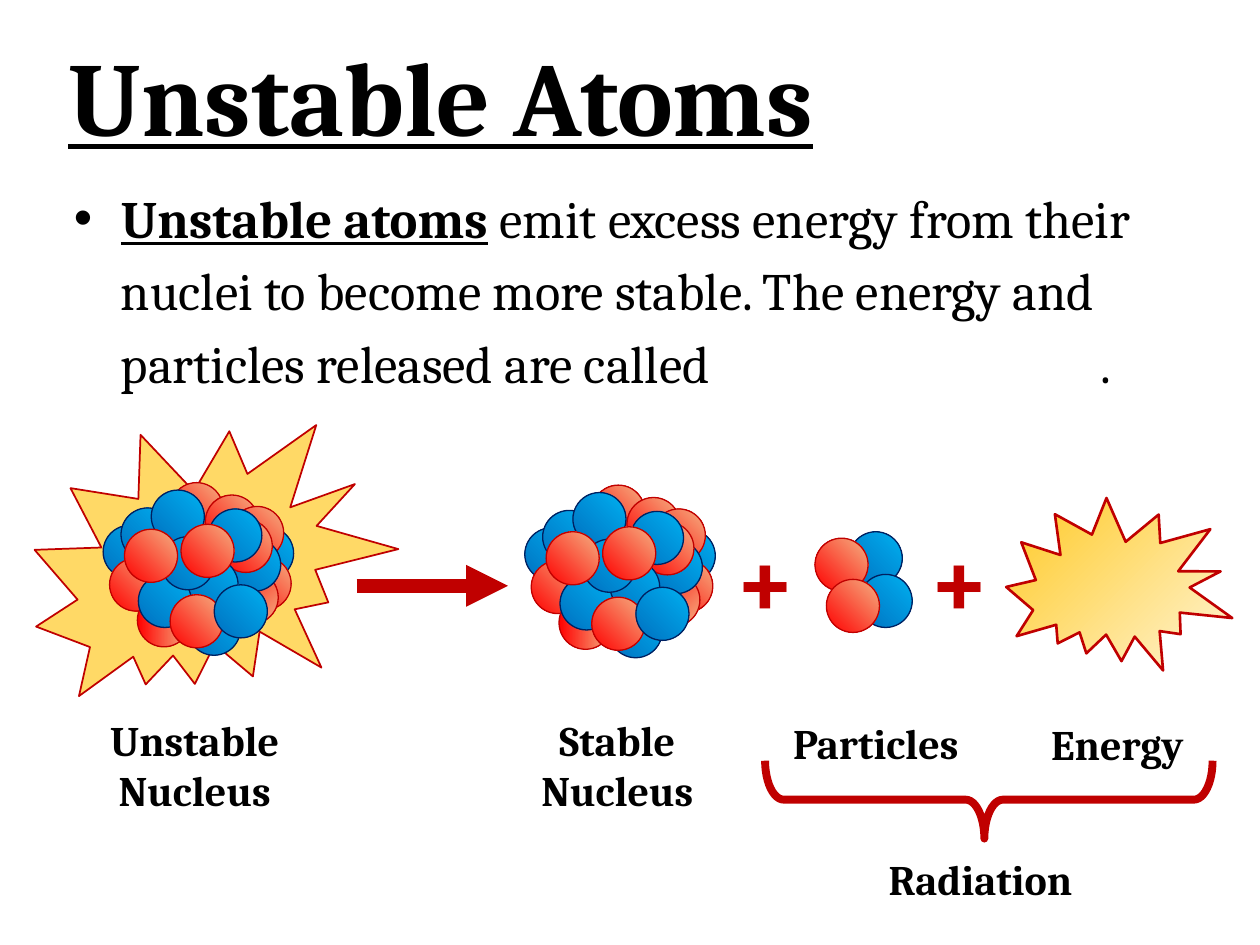
"""Build the slide on unstable atoms and the radiation they emit."""
from dataclasses import dataclass
from typing import Any

from lxml.etree import SubElement
from pptx import Presentation
from pptx.dml.color import RGBColor
from pptx.enum.shapes import MSO_CONNECTOR, MSO_SHAPE
from pptx.enum.text import MSO_ANCHOR, MSO_AUTO_SIZE, PP_ALIGN
from pptx.oxml.ns import qn
from pptx.util import Cm, Pt

FONT = "Cambria"
BLACK = RGBColor(0x00, 0x00, 0x00)
WHITE = RGBColor(0xFF, 0xFF, 0xFF)
DARK_RED = RGBColor(0xC0, 0x00, 0x00)
RED = RGBColor(0xFF, 0x00, 0x00)
SALMON = RGBColor(0xF4, 0xB1, 0x83)
NAVY = RGBColor(0x00, 0x20, 0x60)
BLUE = RGBColor(0x00, 0x70, 0xC0)
SKY = RGBColor(0x00, 0xB0, 0xF0)
YELLOW = RGBColor(0xFF, 0xFF, 0x00)
GRAY = RGBColor(0xB2, 0xB2, 0xB2)
ORANGE = RGBColor(0xFF, 0x66, 0x00)
AMBER = RGBColor(0xFF, 0xCC, 0x00)
GOLD = RGBColor(0xFF, 0xC0, 0x00)
PALE_GOLD = RGBColor(0xFF, 0xD9, 0x66)
DIAMETER = 1.07


@dataclass(frozen=True)
class Paint:
    start: RGBColor
    end: RGBColor
    outline: RGBColor
    angle: float = 45


@dataclass(frozen=True)
class Sphere:
    left: float
    top: float
    paint: Paint


@dataclass(frozen=True)
class Label:
    text: str
    left: float
    top: float
    width: float
    height: float
    size: float = 24
    color: RGBColor = BLACK


PROTON = Paint(RED, SALMON, DARK_RED)
LEVEL_PROTON = Paint(RED, SALMON, DARK_RED, 0)
LOWERED_PROTON = Paint(RED, SALMON, DARK_RED, 315)
NEUTRON = Paint(BLUE, SKY, NAVY)
CORE_YELLOW = Paint(YELLOW, GRAY, YELLOW)
CORE_ORANGE = Paint(ORANGE, AMBER, ORANGE)
CORE_AMBER = Paint(AMBER, ORANGE, ORANGE)

NUCLEUS = [
    Sphere(1.83, 1.09, CORE_YELLOW), Sphere(2.77, 0.89, NEUTRON),
    Sphere(2.72, 1.5, PROTON), Sphere(1.4, 0.46, CORE_ORANGE),
    Sphere(0.76, 1.09, CORE_AMBER), Sphere(0.99, 1.88, CORE_YELLOW),
    Sphere(0.76, 1.52, CORE_YELLOW), Sphere(1.83, 1.47, CORE_ORANGE),
    Sphere(1.09, 1.4, CORE_ORANGE), Sphere(1.35, 0, PROTON),
    Sphere(1.7, 2.41, NEUTRON), Sphere(2.06, 0.25, PROTON),
    Sphere(2.57, 0.48, PROTON), Sphere(0, 0.86, NEUTRON),
    Sphere(0.36, 0.51, NEUTRON), Sphere(0.97, 0.15, NEUTRON),
    Sphere(0.13, 1.52, PROTON), Sphere(0.69, 2.24, LEVEL_PROTON),
    Sphere(2.46, 1.78, LOWERED_PROTON), Sphere(2.51, 1.12, NEUTRON),
    Sphere(2.34, 0.74, PROTON), Sphere(2.13, 0.53, NEUTRON),
    Sphere(1.65, 1.52, NEUTRON), Sphere(0.71, 1.85, NEUTRON),
    Sphere(1.35, 2.26, PROTON), Sphere(2.24, 2.06, NEUTRON),
    Sphere(1.17, 1.09, NEUTRON), Sphere(0.43, 0.94, PROTON),
    Sphere(1.57, 0.84, PROTON),
]
PARTICLES = [
    Sphere(17.12, 10.72, NEUTRON), Sphere(17.32, 11.58, NEUTRON),
    Sphere(16.43, 10.85, PROTON), Sphere(16.66, 11.68, PROTON),
]
LABELS = [
    Label("Unstable Nucleus", 1.88, 14.27, 4.09, 2.31),
    Label("Stable Nucleus", 9.88, 14.27, 5.13, 2.31),
    Label("Particles", 15.09, 14.33, 5.13, 1.27),
    Label("Energy", 19.96, 14.35, 5.13, 1.27),
    Label("Radiation", 17.2, 17.09, 5.13, 1.27),
    Label("+", 14.66, 10.21, 1.55, 2.39, 60, DARK_RED),
    Label("+", 18.57, 10.21, 1.55, 2.39, 60, DARK_RED),
]


def format_run(run: Any, size: float, color: RGBColor = BLACK,
               bold: bool = True, underline: bool = False) -> None:
    run.font.name = FONT
    run.font.size = Pt(size)
    run.font.bold = bold
    run.font.underline = underline
    run.font.color.rgb = color


def add_outlined(shapes: Any, kind: MSO_SHAPE, left: float, top: float, width: float,
                 height: float, outline: RGBColor, weight: float, rotation: float = 0) -> Any:
    shape = shapes.add_shape(kind, Cm(left), Cm(top), Cm(width), Cm(height))
    shape.shadow.inherit = False
    shape.line.color.rgb = outline
    shape.line.width = Pt(weight)
    shape.rotation = rotation
    return shape


def fill_gradient(shape: Any, start: RGBColor, end: RGBColor, angle: float) -> None:
    shape.fill.gradient()
    shape.fill.gradient_angle = angle
    for stop, color in zip(shape.fill.gradient_stops, (start, end)):
        stop.color.rgb = color


def add_spheres(shapes: Any, spheres: list[Sphere], left: float = 0, top: float = 0) -> None:
    for sphere in spheres:
        shape = add_outlined(shapes, MSO_SHAPE.OVAL, left + sphere.left, top + sphere.top,
                             DIAMETER, DIAMETER, sphere.paint.outline, 0.75)
        fill_gradient(shape, sphere.paint.start, sphere.paint.end, sphere.paint.angle)


def add_label(slide: Any, label: Label) -> None:
    box = slide.shapes.add_textbox(Cm(label.left), Cm(label.top), Cm(label.width), Cm(label.height))
    frame = box.text_frame
    frame.word_wrap = True
    frame.margin_left = frame.margin_right = 0
    frame.text = label.text
    paragraph = frame.paragraphs[0]
    paragraph.alignment = PP_ALIGN.CENTER
    format_run(paragraph.runs[0], label.size, label.color)


def format_title(slide: Any) -> None:
    title = slide.shapes.title
    title.left, title.top, title.width, title.height = Cm(1.12), Cm(0.79), Cm(22.28), Cm(5.51)
    frame = title.text_frame
    frame.text = "Unstable Atoms"
    frame.vertical_anchor = MSO_ANCHOR.TOP
    frame.auto_size = MSO_AUTO_SIZE.NONE
    paragraph = frame.paragraphs[0]
    paragraph.alignment = PP_ALIGN.LEFT
    paragraph.line_spacing = 0.9
    format_run(paragraph.runs[0], 60, underline=True)


def add_definition(slide: Any) -> None:
    box = slide.shapes.add_textbox(Cm(1.24), Cm(3.43), Cm(23.19), Cm(4.57))
    box.text_frame.word_wrap = True
    paragraph = box.text_frame.paragraphs[0]
    properties = paragraph._p.get_or_add_pPr()
    properties.set("marL", str(Cm(0.95)))
    properties.set("indent", str(-Cm(0.95)))
    SubElement(properties, qn("a:buFont"), typeface="Arial")
    SubElement(properties, qn("a:buChar"), char="•")
    tabs = SubElement(properties, qn("a:tabLst"))
    SubElement(tabs, qn("a:tab"), pos=str(Cm(20.7)), algn="l")
    paragraph.line_spacing = 1.15
    for text, bold, underline in (
        ("Unstable atoms", True, True),
        (" emit excess energy from their nuclei to become more stable. "
         "The energy and particles released are called ", False, False),
        ("\t", False, True),
        (".", False, False),
    ):
        run = paragraph.add_run()
        run.text = text
        format_run(run, 30, bold=bold, underline=underline)


def add_energy_burst(slide: Any) -> None:
    burst = add_outlined(slide.shapes, MSO_SHAPE.EXPLOSION2, 20.42, 9.86, 4.37, 3.99,
                         DARK_RED, 1.5, 34.5)
    fill_gradient(burst, WHITE, GOLD, 0)
    gradient = burst._element.spPr.find(qn("a:gradFill"))
    gradient.set("rotWithShape", "0")
    gradient.remove(gradient.find(qn("a:lin")))
    radial = SubElement(gradient, qn("a:path"), path="circle")
    SubElement(radial, qn("a:fillToRect"), l="100000", t="100000")


def add_arrow(slide: Any) -> None:
    arrow = slide.shapes.add_connector(MSO_CONNECTOR.STRAIGHT, Cm(7.19), Cm(11.81), Cm(10.24), Cm(11.81))
    arrow.line.color.rgb = DARK_RED
    arrow.line.width = Pt(8)
    SubElement(arrow.line._get_or_add_ln(), qn("a:tailEnd"), type="triangle")
    SubElement(arrow._element.spPr, qn("a:effectLst"))


def main() -> None:
    presentation = Presentation()
    presentation.slide_width, presentation.slide_height = Cm(25.4), Cm(19.05)
    slide = presentation.slides.add_slide(presentation.slide_layouts[5])
    format_title(slide)
    glow = add_outlined(slide.shapes, MSO_SHAPE.EXPLOSION2, 0.74, 8.13, 7.09, 6.5, DARK_RED, 1, 14.7)
    glow.fill.solid()
    glow.fill.fore_color.rgb = PALE_GOLD
    add_definition(slide)
    for left, top in ((2.08, 9.73), (10.58, 9.78)):
        add_spheres(slide.shapes.add_group_shape().shapes, NUCLEUS, left, top)
    add_arrow(slide)
    add_energy_burst(slide)
    add_spheres(slide.shapes, PARTICLES)
    brace = add_outlined(slide.shapes, MSO_SHAPE.LEFT_BRACE, 19.15, 11.61, 1.57, 9.02, DARK_RED, 4.5, 270)
    brace.fill.background()
    brace.adjustments[0], brace.adjustments[1] = 0.24, 0.49
    for label in LABELS:
        add_label(slide, label)
    presentation.save("out.pptx")


if __name__ == "__main__":
    main()
